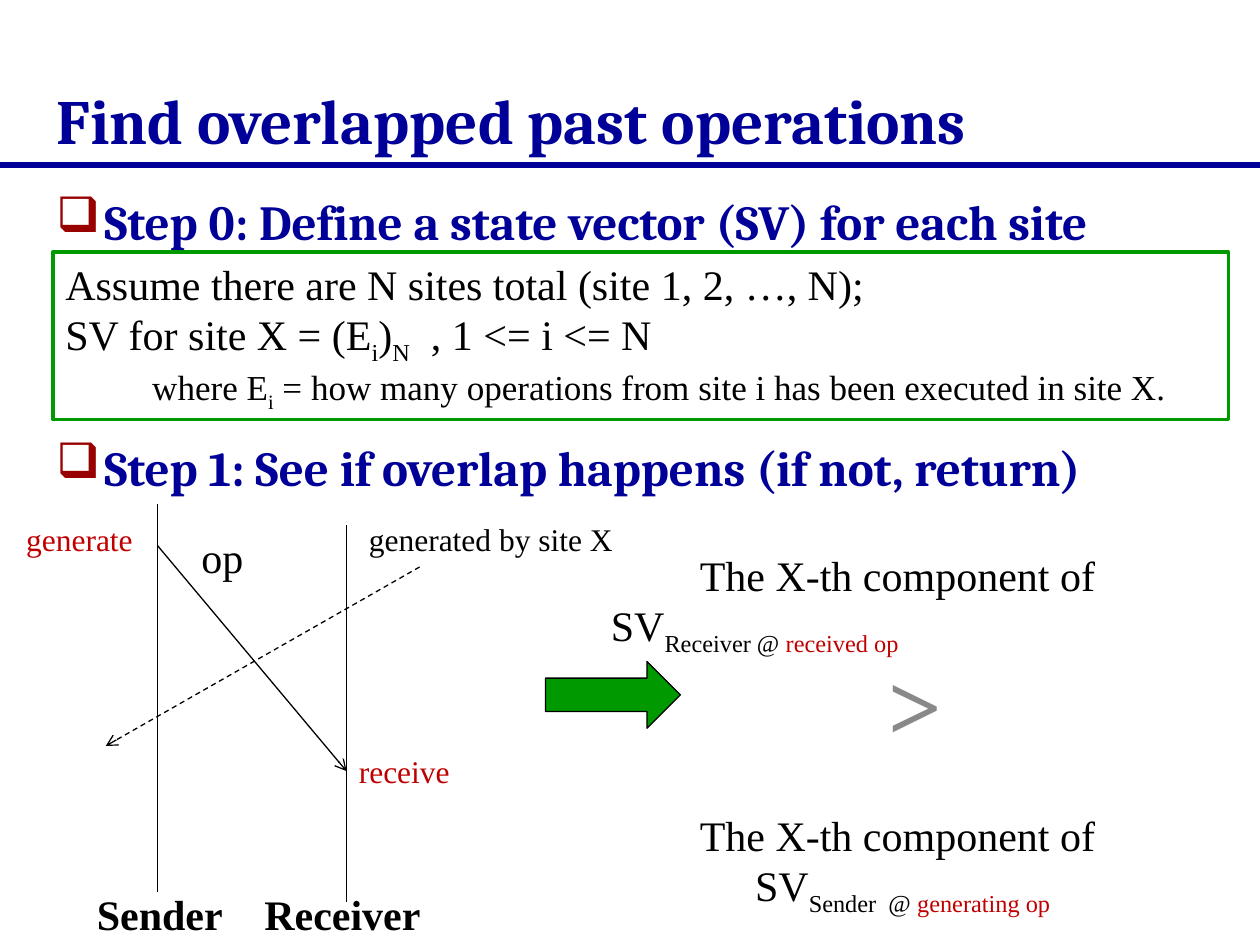
from dataclasses import dataclass
from typing import NamedTuple, Optional

from lxml.etree import SubElement
from pptx import Presentation
from pptx.dml.color import RGBColor
from pptx.enum.dml import MSO_LINE
from pptx.enum.shapes import MSO_CONNECTOR, MSO_SHAPE
from pptx.enum.text import MSO_ANCHOR, PP_ALIGN
from pptx.oxml import parse_xml
from pptx.oxml.ns import nsdecls, qn
from pptx.util import Inches, Pt


@dataclass(frozen=True)
class Theme:
    heading_font: str = "Cambria"
    body_font: str = "Times New Roman"
    navy: str = "000099"
    black: str = "000000"
    white: str = "FFFFFF"
    green: str = "009900"
    dark_green: str = "003300"
    gray: str = "898989"
    red: str = "C00000"
    bullet: str = "990000"
    title: int = 36
    step: int = 28
    body: int = 24
    detail: int = 20
    label: int = 18
    symbol: int = 54


THEME = Theme()


class Box(NamedTuple):
    left: float
    top: float
    width: float
    height: float


class Piece(NamedTuple):
    """A stretch of text in one format."""
    text: str
    color: str = THEME.black
    subscript: bool = False


class Line(NamedTuple):
    """One paragraph of text."""
    pieces: list[Piece]
    size: int = THEME.body
    font: str = THEME.body_font
    bold: bool = False
    align: PP_ALIGN = PP_ALIGN.LEFT
    space_before: int = 0
    indent: float = 0
    hanging_bullet: Optional[str] = None


class Stroke(NamedTuple):
    start: tuple[float, float]
    end: tuple[float, float]
    color: str = THEME.black
    width: float = 0.75
    dashed: bool = False
    arrow: bool = False


def rgb(color: str) -> RGBColor:
    return RGBColor.from_string(color)


def write_line(paragraph, line: Line) -> None:
    properties = paragraph._p.get_or_add_pPr()
    if line.hanging_bullet:
        properties.set("marL", str(Inches(0.38)))
        properties.set("indent", str(Inches(-0.38)))
        bullet_color = SubElement(properties, qn("a:buClr"))
        SubElement(bullet_color, qn("a:srgbClr"), val=THEME.bullet)
        SubElement(properties, qn("a:buChar"), char=line.hanging_bullet)
    elif line.indent:
        properties.set("indent", str(Inches(line.indent)))
    paragraph.alignment = line.align
    if line.space_before:
        paragraph.space_before = Pt(line.space_before)
    for piece in line.pieces:
        run = paragraph.add_run()
        run.text = piece.text
        formats = {"name": line.font, "size": Pt(line.size), "bold": line.bold}
        for name, value in formats.items():
            setattr(run.font, name, value)
        run.font.color.rgb = rgb(piece.color)
        if piece.subscript:
            run.font._element.set("baseline", "-25000")


def write_text(shape, lines: list[Line], anchor=MSO_ANCHOR.TOP, wrap: bool = True) -> None:
    frame = shape.text_frame
    for name, value in {"word_wrap": wrap, "vertical_anchor": anchor}.items():
        setattr(frame, name, value)
    for index, line in enumerate(lines):
        write_line(frame.add_paragraph() if index else frame.paragraphs[0], line)


def add_text(slide, box: Box, lines: list[Line], anchor=MSO_ANCHOR.TOP, wrap: bool = True):
    text_box = slide.shapes.add_textbox(*map(Inches, box))
    write_text(text_box, lines, anchor, wrap)
    return text_box


def add_preset(slide, kind: MSO_SHAPE, box: Box, fill: str, outline: str, width: float):
    shape = slide.shapes.add_shape(kind, *map(Inches, box))
    shape.shadow.inherit = False
    shape.fill.solid()
    shape.fill.fore_color.rgb = rgb(fill)
    shape.line.color.rgb = rgb(outline)
    shape.line.width = Pt(width)
    return shape


def add_stroke(slide, stroke: Stroke) -> None:
    connector = slide.shapes.add_connector(
        MSO_CONNECTOR.STRAIGHT, *map(Inches, stroke.start + stroke.end))
    connector.line.color.rgb = rgb(stroke.color)
    connector.line.width = Pt(stroke.width)
    if stroke.dashed:
        connector.line.dash_style = MSO_LINE.DASH
    if stroke.arrow:
        SubElement(connector.line._get_or_add_ln(), qn("a:tailEnd"), type="arrow")
    SubElement(connector._element.spPr, qn("a:effectLst"))


def add_headings(slide) -> None:
    add_stroke(slide, Stroke((0, 1.31), (10, 1.31), THEME.navy, 3))
    title = Line([Piece("Find overlapped past operations", THEME.navy)],
                 THEME.title, THEME.heading_font, True)
    add_text(slide, Box(0.35, 0.6, 9.21, 0.7), [title], MSO_ANCHOR.BOTTOM)
    steps = {1.47: "Step 0: Define a state vector (SV) for each site",
             3.42: "Step 1: See if overlap happens (if not, return)"}
    for top, text in steps.items():
        step = Line([Piece(text, THEME.navy)], THEME.step, THEME.heading_font, True,
                    hanging_bullet="❑")
        add_text(slide, Box(0.35, top, 9.23, 0.67), [step])


def add_definition(slide) -> None:
    panel = add_preset(slide, MSO_SHAPE.RECTANGLE, Box(0.42, 2, 9.33, 1.33),
                       THEME.white, THEME.green, 2)
    index = Piece("i", subscript=True)
    write_text(panel, [
        Line([Piece("Assume there are N sites total (site 1, 2, …, N);")]),
        Line([Piece("SV for site X = (E"), index, Piece(")"),
              Piece("N", subscript=True), Piece("  , 1 <= i <= N")]),
        Line([Piece("where E"), index,
              Piece(" = how many operations from site i has been executed in site X.")],
             THEME.detail, indent=0.69),
    ])


def add_timeline(slide) -> None:
    sender, receiver = 1.25, 2.75
    for stroke in (
        Stroke((sender, 4), (sender, 7.08)),
        Stroke((receiver, 4.17), (receiver, 7.16)),
        Stroke((sender, 4.33), (receiver, 6.12), arrow=True),
        Stroke((3.33, 4.5), (0.84, 5.92), dashed=True, arrow=True),
    ):
        add_stroke(slide, stroke)
    for box, text, size, color, bold, wrap in (
        (Box(0.67, 7, 1.42, 0.5), "Sender", THEME.body, THEME.black, True, True),
        (Box(2, 7, 1.67, 0.5), "Receiver", THEME.body, THEME.black, True, True),
        (Box(1.5, 4.17, 0.54, 0.5), "op", THEME.body, THEME.black, False, False),
        (Box(0.11, 4.08, 1.06, 0.4), "generate", THEME.label, THEME.red, False, False),
        (Box(2.75, 5.92, 0.93, 0.4), "receive", THEME.label, THEME.red, False, False),
        (Box(2.83, 4.08, 2.16, 0.4), "generated by site X", THEME.label, THEME.black, False, True),
    ):
        add_text(slide, box, [Line([Piece(text, color)], size, bold=bold)], wrap=wrap)


def add_comparison(slide) -> None:
    lines = []
    for site, event, align, gap in (
        ("Receiver @ ", "received op", PP_ALIGN.LEFT, 0),
        ("Sender  @ ", "generating op", PP_ALIGN.CENTER, 87),
    ):
        lines += [
            Line([Piece("The X-th component of ")], align=PP_ALIGN.CENTER, space_before=gap),
            Line([Piece("SV"), Piece(site, subscript=True),
                  Piece(event, THEME.red, True)], align=align),
        ]
    add_text(slide, Box(4.75, 4.31, 4.83, 2.52), lines)
    symbol = add_text(slide, Box(6.95, 5.08, 0.63, 1.01), [
        Line([Piece(">", THEME.gray)], THEME.symbol, bold=True, align=PP_ALIGN.CENTER)], wrap=False)
    outline = parse_xml(f'<a:ln {nsdecls("a")} w="{Pt(1)}"><a:solidFill>'
                        f'<a:srgbClr val="{THEME.dark_green}"/></a:solidFill></a:ln>')
    symbol.text_frame.paragraphs[0].runs[0].font._element.insert(0, outline)
    add_preset(slide, MSO_SHAPE.RIGHT_ARROW, Box(4.33, 5.25, 1.07, 0.53),
               THEME.green, THEME.black, 0.75)


def main() -> None:
    presentation = Presentation()
    presentation.slide_width = Inches(10)
    presentation.slide_height = Inches(7.5)
    slide = presentation.slides.add_slide(presentation.slide_layouts[6])
    add_headings(slide)
    add_definition(slide)
    add_timeline(slide)
    add_comparison(slide)
    presentation.save("out.pptx")


if __name__ == "__main__":
    main()
